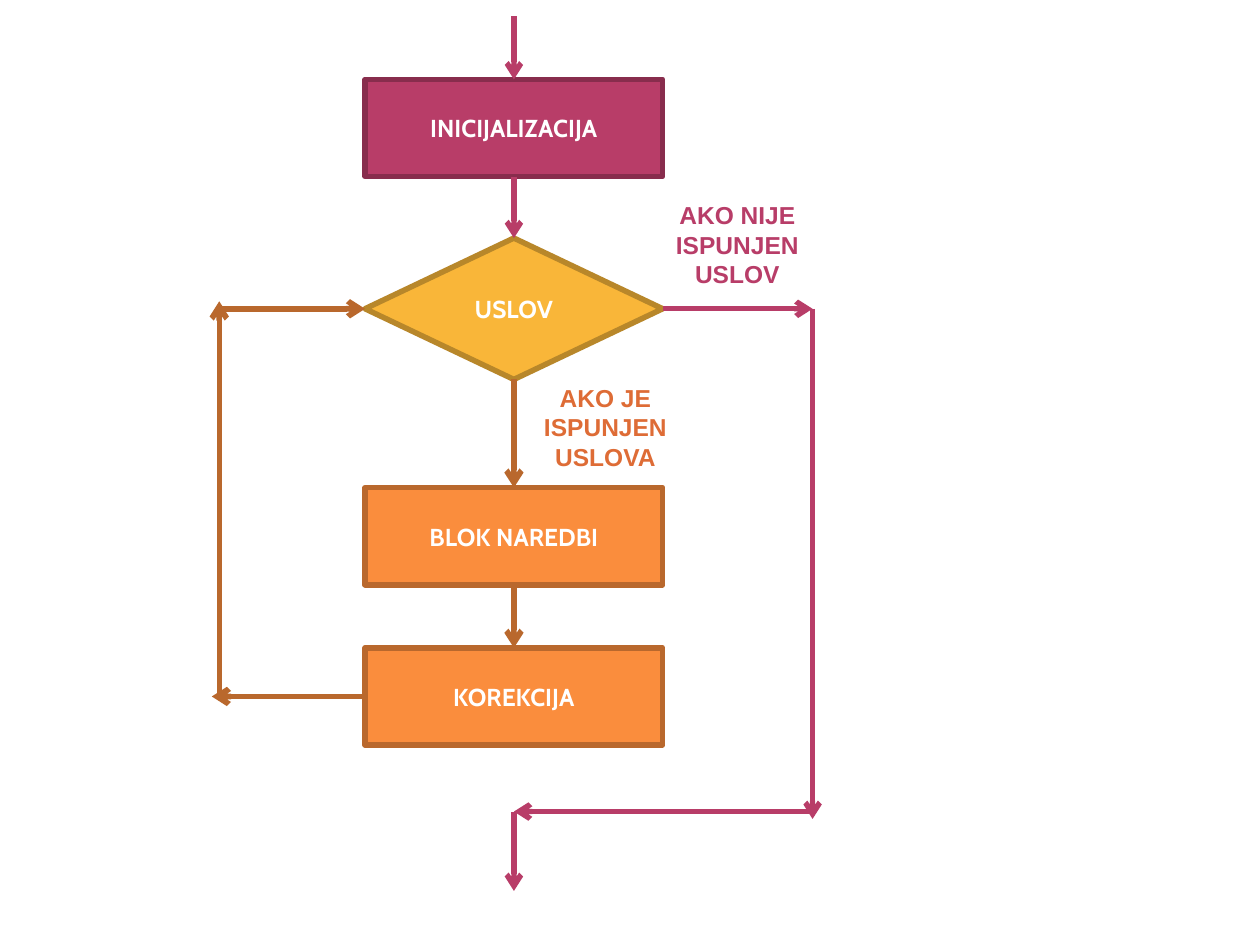
from dataclasses import dataclass
from typing import Optional

from lxml import etree
from pptx import Presentation
from pptx.dml.color import RGBColor
from pptx.enum import shapes as kinds
from pptx.enum import text as t
from pptx.oxml.ns import qn
from pptx.util import Cm, Pt

TOP, LEFT, BOTTOM, RIGHT = range(4)
BLANK_LAYOUT = 6


@dataclass(frozen=True)
class Theme:
    magenta: str = "B83D68"
    magenta_dark: str = "882D4D"
    yellow: str = "F9B639"
    yellow_dark: str = "B8872A"
    orange: str = "FA8D3D"
    orange_dark: str = "B9682D"
    orange_text: str = "DE6C36"
    white: str = "FFFFFF"
    step_font: str = "Cabin"
    label_font: str = "Arial"
    text_size: float = 14
    outline: float = 3.15
    exit_line: float = 3
    loop_line: float = 3.15


@dataclass(frozen=True)
class Step:
    caption: str
    top: float
    fill: str
    border: str
    height: float = 1.96
    kind: int = kinds.MSO_SHAPE.RECTANGLE


@dataclass(frozen=True)
class Label:
    caption: str
    left: float
    top: float
    width: float
    colour: str


@dataclass(frozen=True)
class Joint:
    """A side of a step where an arrow starts or ends."""
    step: object
    side: int


@dataclass(frozen=True)
class Arrow:
    start: object
    end: object
    colour: str
    weight: float


THEME = Theme()

# Main column and the two side lanes, in centimetres
AXIS, STEP_WIDTH = 10.36, 6.0
LOOP_X, EXIT_X = 4.42, 16.38
CONDITION_TOP, CONDITION_HEIGHT = 4.8, 2.85
BRANCH_Y = CONDITION_TOP + CONDITION_HEIGHT / 2
CORRECTION_TOP = 13.06
CORRECTION_Y = CORRECTION_TOP + Step.height / 2
EXIT_Y = 16.36
OVERRUN = 0.15  # how far a lane's arrowhead passes its corner


def write(frame, caption: str, font: str, colour: str) -> None:
    frame.word_wrap = True
    frame.text = caption
    paragraph = frame.paragraphs[0]
    paragraph.alignment = t.PP_ALIGN.CENTER
    style = paragraph.runs[0].font
    style.name, style.size, style.bold = font, Pt(THEME.text_size), True
    style.color.rgb = RGBColor.from_string(colour)


def draw_step(slide, step: Step):
    box = slide.shapes.add_shape(step.kind, Cm(AXIS - STEP_WIDTH / 2), Cm(step.top),
                                 Cm(STEP_WIDTH), Cm(step.height))
    box.shadow.inherit = False
    box.fill.solid()
    box.fill.fore_color.rgb = RGBColor.from_string(step.fill)
    box.line.color.rgb = RGBColor.from_string(step.border)
    box.line.width = Pt(THEME.outline)
    box.text_frame.vertical_anchor = t.MSO_ANCHOR.MIDDLE
    write(box.text_frame, step.caption, THEME.step_font, THEME.white)
    return box


def draw_label(slide, label: Label) -> None:
    box = slide.shapes.add_textbox(Cm(label.left), Cm(label.top), Cm(label.width), Cm(2.06))
    write(box.text_frame, label.caption, THEME.label_font, label.colour)
    box.text_frame.auto_size = t.MSO_AUTO_SIZE.SHAPE_TO_FIT_TEXT


def position(point) -> tuple[int, int]:
    """Free points are in centimetres; joints are placed once connected."""
    return (0, 0) if isinstance(point, Joint) else (Cm(point[0]), Cm(point[1]))


def draw_arrow(slide, arrow: Arrow) -> None:
    line = slide.shapes.add_connector(kinds.MSO_CONNECTOR.STRAIGHT,
                                      *position(arrow.start), *position(arrow.end))
    if isinstance(arrow.start, Joint):
        line.begin_connect(arrow.start.step, arrow.start.side)
    if isinstance(arrow.end, Joint):
        line.end_connect(arrow.end.step, arrow.end.side)
    line.line.color.rgb = RGBColor.from_string(arrow.colour)
    line.line.width = Pt(arrow.weight)
    properties = line._element.spPr
    etree.SubElement(properties.find(qn("a:ln")), qn("a:tailEnd"), type="arrow")
    etree.SubElement(properties, qn("a:effectLst"))


def exit_arrow(start, end) -> Arrow:
    return Arrow(start, end, THEME.magenta, THEME.exit_line)


def loop_arrow(start, end) -> Arrow:
    return Arrow(start, end, THEME.orange_dark, THEME.loop_line)


def main() -> None:
    deck = Presentation()
    deck.slide_width, deck.slide_height = Cm(25.4), Cm(19.05)
    slide = deck.slides.add_slide(deck.slide_layouts[BLANK_LAYOUT])

    steps = [
        Step("INICIJALIZACIJA", 1.6, THEME.magenta, THEME.magenta_dark),
        Step("USLOV", CONDITION_TOP, THEME.yellow, THEME.yellow_dark,
             CONDITION_HEIGHT, kinds.MSO_SHAPE.FLOWCHART_DECISION),
        Step("BLOK NAREDBI", 9.83, THEME.orange, THEME.orange_dark),
        Step("KOREKCIJA", CORRECTION_TOP, THEME.orange, THEME.orange_dark),
    ]
    start, condition, body, correction = [draw_step(slide, step) for step in steps]

    arrows = [
        exit_arrow((AXIS, 0.33), Joint(start, TOP)),
        exit_arrow(Joint(start, BOTTOM), Joint(condition, TOP)),
        loop_arrow(Joint(condition, BOTTOM), Joint(body, TOP)),
        loop_arrow(Joint(body, BOTTOM), Joint(correction, TOP)),
        loop_arrow(Joint(correction, LEFT), (LOOP_X - OVERRUN, CORRECTION_Y)),
        loop_arrow((LOOP_X, CORRECTION_Y), (LOOP_X, BRANCH_Y - OVERRUN)),
        loop_arrow((LOOP_X, BRANCH_Y), Joint(condition, LEFT)),
        exit_arrow(Joint(condition, RIGHT), (EXIT_X, BRANCH_Y)),
        exit_arrow((EXIT_X, BRANCH_Y), (EXIT_X, EXIT_Y + OVERRUN)),
        exit_arrow((EXIT_X, EXIT_Y), (AXIS, EXIT_Y)),
        exit_arrow((AXIS, EXIT_Y), (AXIS, 17.96)),
    ]
    for arrow in arrows:
        draw_arrow(slide, arrow)

    labels = [
        Label("AKO JE ISPUNJEN USLOVA", 10.44, 7.59, 3.53, THEME.orange_text),
        Label("AKO NIJE ISPUNJEN USLOV", 12.67, 3.91, 4.39, THEME.magenta),
    ]
    for label in labels:
        draw_label(slide, label)

    deck.save("out.pptx")


if __name__ == "__main__":
    main()
